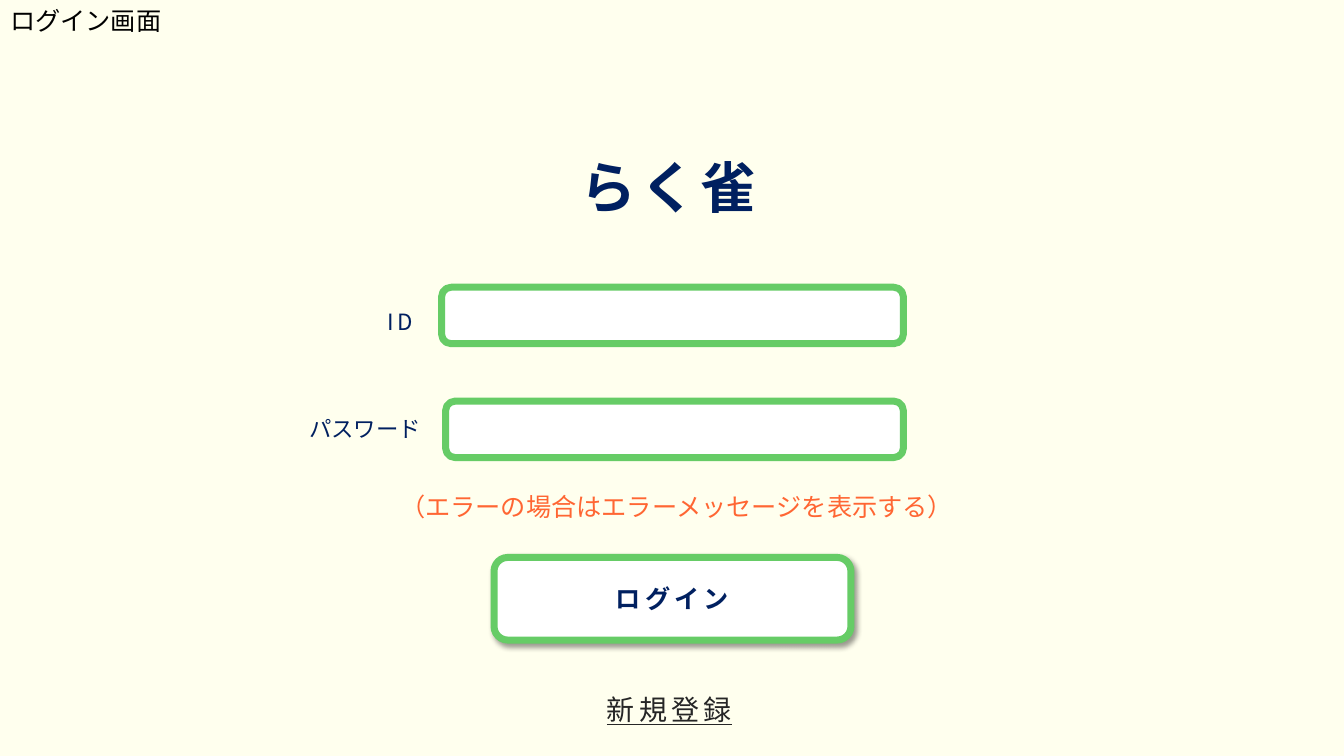
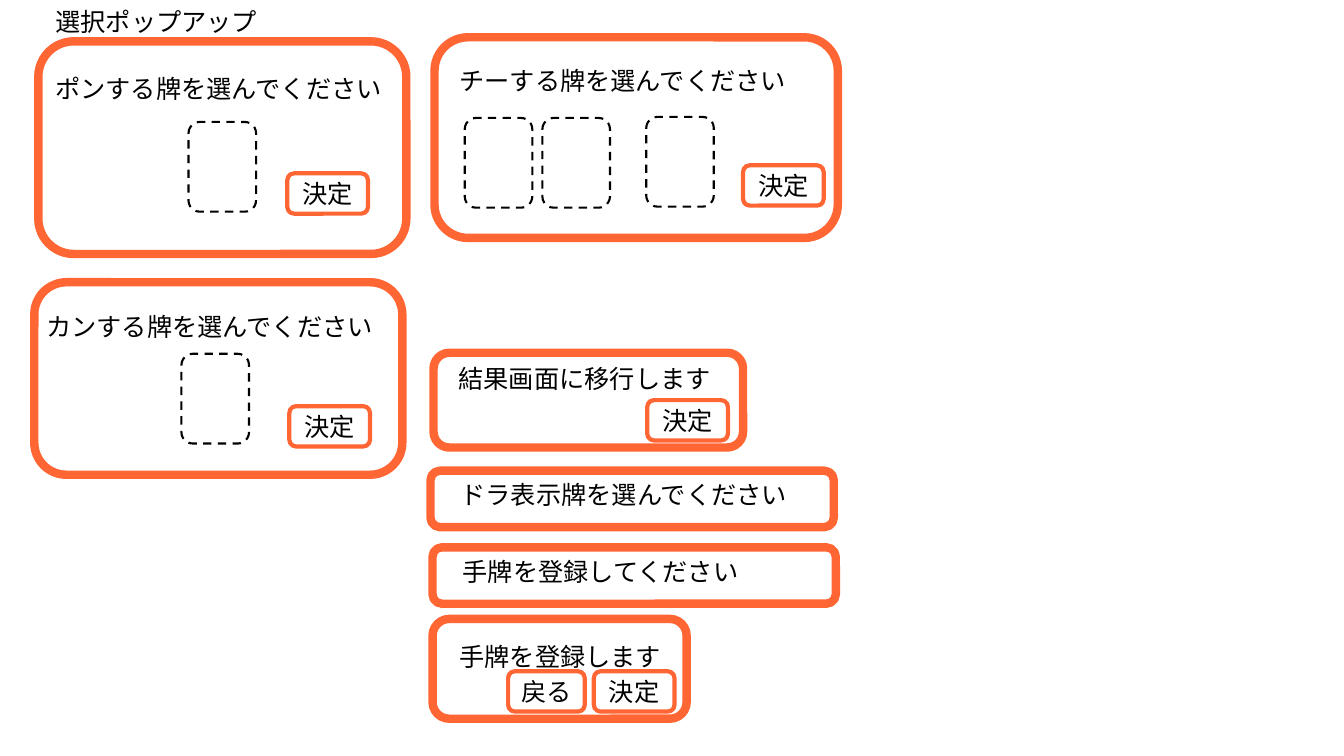
from lxml.etree import SubElement
from pptx import Presentation
from pptx.dml.color import RGBColor
from pptx.enum.dml import MSO_LINE
from pptx.enum.shapes import MSO_SHAPE
from pptx.enum.text import MSO_ANCHOR, MSO_AUTO_SIZE, PP_ALIGN
from pptx.oxml.ns import qn
from pptx.util import Inches, Pt

FONT = "Noto Sans CJK JP"
COLORS = {
    "cream": "FFFFEE",
    "white": "FFFFFF",
    "black": "000000",
    "charcoal": "262626",
    "navy": "002060",
    "green": "66CC66",
    "orange": "FF6633",
}
TILE_SIZE = (0.67, 0.89)
BUTTON_HEIGHT = 0.4
MESSAGE_HEIGHT = 0.4

FIELDS = [(4.38, 2.85, 4.58, 0.56), (4.42, 3.98, 4.54, 0.56)]
LOGIN_TEXTS = [
    ("ID", (3.74, 3.01, 0.68, 0.37), dict(size=16, color="navy", spacing=3)),
    ("パスワード", (2.97, 4.07, 1.4, 0.37), dict(size=16, color="navy")),
    ("新規登録", (5.92, 6.82, 1.6, 0.44),
     dict(size=20, color="charcoal", underline=True, spacing=3)),
    ("（エラーの場合はエラーメッセージを表示する）", (3.87, 4.83, 5.9, 0.4),
     dict(color="orange")),
    ("らく雀", (5.66, 1.46, 2.2, 0.77),
     dict(size=40, color="navy", bold=True, spacing=3)),
]

CONFIRM = "決定"
POPUPS = [
    dict(frame=(4.3, 3.5, 3.07, 0.94), message="結果画面に移行します",
         message_at=(4.45, 3.56, 2.76), buttons=[(CONFIRM, 6.42, 3.97, 0.8)]),
    dict(frame=(0.38, 0.41, 3.65, 2.11), message="ポンする牌を選んでください",
         message_at=(0.45, 0.68, 3.55), tiles=[(1.87, 1.21)],
         buttons=[(CONFIRM, 2.85, 1.72, 0.8)]),
    dict(frame=(4.31, 0.37, 4, 1.99), message="チーする牌を選んでください",
         message_at=(4.46, 0.6, 3.7),
         tiles=[(4.61, 1.17), (5.38, 1.17), (6.41, 1.16)],
         buttons=[(CONFIRM, 7.37, 1.64, 0.8)]),
    dict(frame=(0.34, 2.8, 3.65, 1.91), message="カンする牌を選んでください",
         message_at=(0.36, 3.04, 3.55), tiles=[(1.8, 3.51)],
         buttons=[(CONFIRM, 2.87, 4.03, 0.8)]),
    dict(frame=(4.27, 4.67, 4, 0.56), message="ドラ表示牌を選んでください",
         message_at=(4.47, 4.71, 3.6)),
    dict(frame=(4.29, 5.43, 4, 0.56), message="手牌を登録してください",
         message_at=(4.49, 5.47, 3.6)),
    dict(frame=(4.29, 6.14, 2.52, 0.99), message="手牌を登録します",
         message_at=(4.46, 6.31, 2.34),
         buttons=[(CONFIRM, 5.89, 6.66, 0.8), ("戻る", 5.04, 6.66, 0.76)]),
]


def color_of(name):
    """Return the palette colour with this name."""
    return RGBColor.from_string(COLORS[name])


class ScreenDeck:
    """Hold the deck, its style and the slide being drawn."""

    def __init__(self):
        """Start an empty widescreen deck."""
        self.deck = Presentation()
        self.deck.slide_width = Inches(13.33)
        self.deck.slide_height = Inches(7.5)

    def start_page(self, title, title_left, title_top, background):
        """Add a slide with its screen name in the title placeholder."""
        page = self.deck.slides.add_slide(self.deck.slide_layouts[5])
        page.background.fill.solid()
        page.background.fill.fore_color.rgb = color_of(background)
        self.shapes = page.shapes
        box = page.shapes.title
        box.left, box.top = Inches(title_left), Inches(title_top)
        box.width, box.height = Inches(2.34), Inches(0.4)
        self.set_text(box, title)

    def set_text(self, box, text, size=18, color="black", bold=False,
                 underline=False, spacing=0, centered=False):
        """Put one styled run into a box."""
        frame = box.text_frame
        frame.word_wrap = True
        frame.auto_size = MSO_AUTO_SIZE.NONE
        frame.vertical_anchor = MSO_ANCHOR.MIDDLE if centered else MSO_ANCHOR.TOP
        para = frame.paragraphs[0]
        para.alignment = PP_ALIGN.CENTER if centered else PP_ALIGN.LEFT
        span = para.add_run()
        span.text = text
        font = span.font
        font.name, font.size = FONT, Pt(size)
        font.bold, font.underline = bold, underline
        font.color.rgb = color_of(color)
        properties = span._r.get_or_add_rPr()
        SubElement(properties, qn("a:ea"), typeface=FONT)
        if spacing:
            properties.set("spc", str(spacing * 100))

    def text(self, text, place, **style):
        """Add a text box."""
        self.set_text(self.shapes.add_textbox(*map(Inches, place)), text, **style)

    def rounded_box(self, place, line, width, dashed=False):
        """Add a white rounded box with a coloured outline."""
        box = self.shapes.add_shape(MSO_SHAPE.ROUNDED_RECTANGLE, *map(Inches, place))
        box.shadow.inherit = False
        box.fill.solid()
        box.fill.fore_color.rgb = color_of("white")
        box.line.color.rgb = color_of(line)
        box.line.width = Pt(width)
        if dashed:
            box.line.dash_style = MSO_LINE.DASH
        return box

    def cast_shadow(self, box):
        """Give a box a soft shadow to its lower right."""
        effects = box._element.spPr.find(qn("a:effectLst"))
        shadow = SubElement(effects, qn("a:outerShdw"), blurRad=str(Pt(4)),
                            dist=str(Pt(3)), dir=str(45 * 60000),
                            algn="tl", rotWithShape="0")
        tint = SubElement(shadow, qn("a:srgbClr"), val=COLORS["black"])
        SubElement(tint, qn("a:alpha"), val="40000")

    def popup(self, frame, message, message_at, tiles=(), buttons=()):
        """Add a grouped popup with a message, tile slots and buttons."""
        page_shapes = self.shapes
        self.shapes = page_shapes.add_group_shape().shapes
        self.rounded_box(frame, "orange", 6)
        self.text(message, (*message_at, MESSAGE_HEIGHT))
        for tile in tiles:
            self.rounded_box((*tile, *TILE_SIZE), "black", 1.5, dashed=True)
        for label, *place in buttons:
            button = self.rounded_box((*place, BUTTON_HEIGHT), "orange", 3)
            self.set_text(button, label, centered=True)
        self.shapes = page_shapes


def main():
    """Build the login screen and the selection popups."""
    screens = ScreenDeck()

    screens.start_page("ログイン画面", 0, 0, "cream")
    for field in FIELDS:
        screens.rounded_box(field, "green", 5)
    for text, place, style in LOGIN_TEXTS:
        screens.text(text, place, **style)
    login = screens.rounded_box((4.9, 5.53, 3.54, 0.82), "green", 5)
    screens.cast_shadow(login)
    screens.set_text(login, "ログイン", color="navy", bold=True, spacing=3, centered=True)

    screens.start_page("選択ポップアップ", 0.45, 0.01, "white")
    for popup in POPUPS:
        screens.popup(**popup)

    screens.deck.save("out.pptx")


if __name__ == "__main__":
    main()
